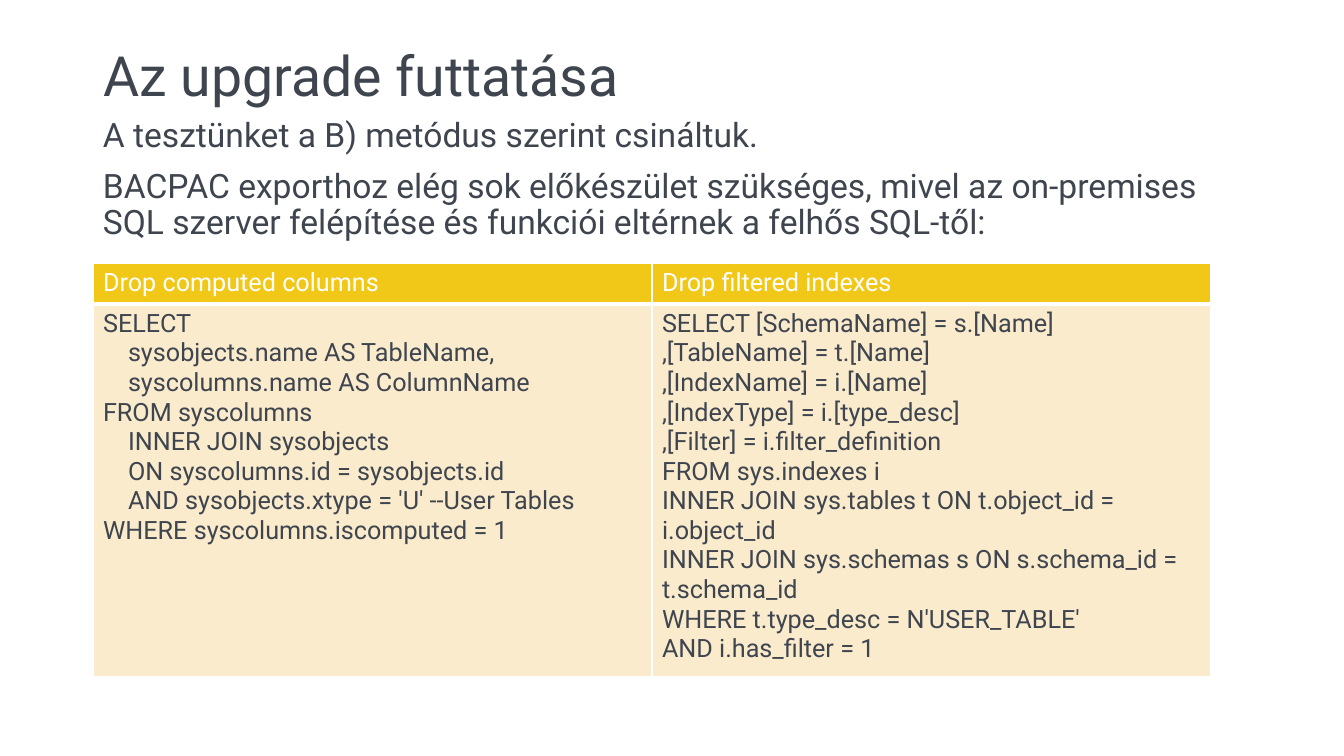
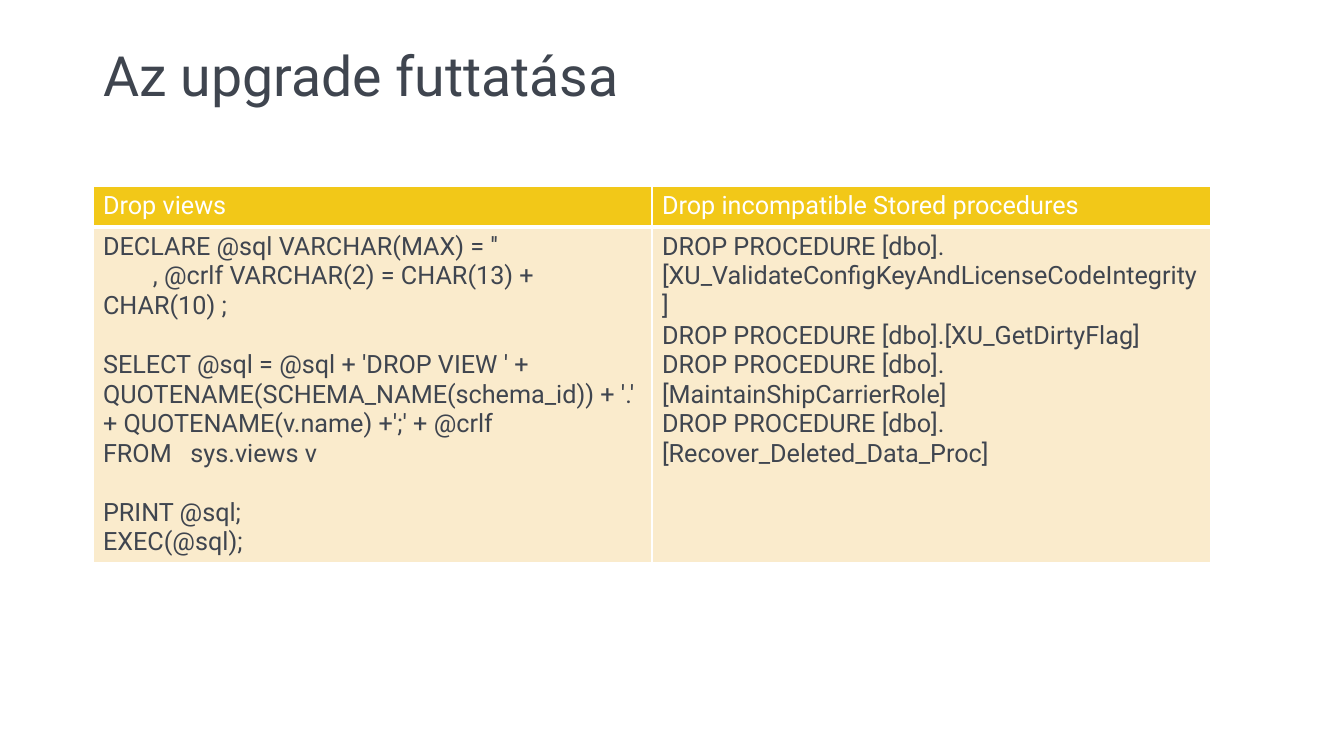
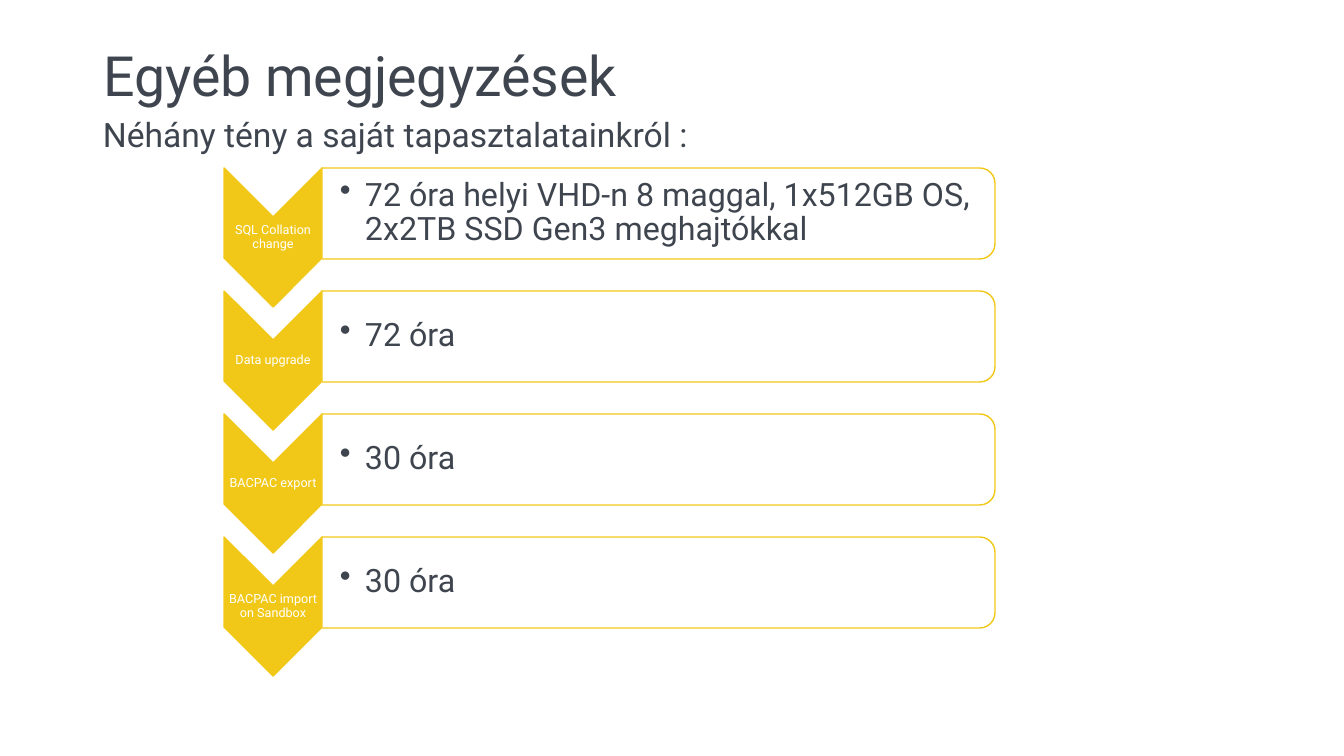
import pptx
import pptx.dml.color
import pptx.enum.shapes
import pptx.enum.text
import pptx.oxml
import pptx.oxml.ns
import pptx.util

PX = 12192000 / 1344  # EMU in one px
COLOURS = {"ink": "3F454F", "gold": "F2C818", "cream": "FAEBCC", "white": "FFFFFF"}
FONT = "Roboto"
Pt = pptx.util.Pt
ANCHOR = pptx.enum.text.MSO_ANCHOR
ALIGN = pptx.enum.text.PP_ALIGN
SHAPE = pptx.enum.shapes.MSO_SHAPE

# Regions shared by the slides: left, top, width, height
TITLE_BOX = (93, 40, 1159, 74)
INTRO_BOX = (93, 114, 1159, 566)
TABLE_LEFT, TABLE_WIDTH, HEADER_HEIGHT = 93, 1118, 41
CODE_LINE = Pt(21.1)

COMPUTED_COLUMNS = """SELECT
    sysobjects.name AS TableName,
    syscolumns.name AS ColumnName
FROM syscolumns
    INNER JOIN sysobjects
    ON syscolumns.id = sysobjects.id
    AND sysobjects.xtype = 'U' --User Tables
WHERE syscolumns.iscomputed = 1"""

FILTERED_INDEXES = """SELECT [SchemaName] = s.[Name]
,[TableName] = t.[Name]
,[IndexName] = i.[Name]
,[IndexType] = i.[type_desc]
,[Filter] = i.filter_definition
FROM sys.indexes i
INNER JOIN sys.tables t ON t.object_id = i.object_id
INNER JOIN sys.schemas s ON s.schema_id = t.schema_id
WHERE t.type_desc = N'USER_TABLE'
AND i.has_filter = 1"""

VIEWS = """DECLARE @sql VARCHAR(MAX) = ''
        , @crlf VARCHAR(2) = CHAR(13) + CHAR(10) ;

SELECT @sql = @sql + 'DROP VIEW ' + QUOTENAME(SCHEMA_NAME(schema_id)) + '.' + QUOTENAME(v.name) +';' + @crlf
FROM   sys.views v

PRINT @sql;
EXEC(@sql);"""

PROCEDURES = """DROP PROCEDURE [dbo].[XU_ValidateConfigKeyAndLicenseCodeIntegrity]
DROP PROCEDURE [dbo].[XU_GetDirtyFlag]
DROP PROCEDURE [dbo].[MaintainShipCarrierRole]
DROP PROCEDURE [dbo].[Recover_Deleted_Data_Proc]"""

STEPS = [
    ("SQL Collation change", "72 óra helyi VHD-n 8 maggal, 1x512GB OS, 2x2TB SSD Gen3 meghajtókkal"),
    ("Data upgrade", "72 óra"),
    ("BACPAC export", "30 óra"),
    ("BACPAC import on Sandbox", "30 óra"),
]


def px(value):
    return pptx.util.Emu(round(value * PX))


def colour(name):
    return pptx.dml.color.RGBColor.from_string(COLOURS[name])


def assign(target, values):
    for name, value in values.items():
        setattr(target, name, value)


def write(para, text, size, ink, **para_format):
    assign(para, para_format)
    span = para.add_run()
    span.text = text
    assign(span.font, {"name": FONT, "size": Pt(size)})
    span.font.color.rgb = colour(ink)


def paragraph(frame, index):
    return frame.paragraphs[0] if index == 0 else frame.add_paragraph()


def add_text_box(page, box, inset=None, **frame_format):
    frame = page.shapes.add_textbox(*map(px, box)).text_frame
    frame.word_wrap = True
    if inset:
        sides = ("margin_left", "margin_top", "margin_right", "margin_bottom")
        assign(frame, dict(zip(sides, map(px, inset))))
    assign(frame, frame_format)
    return frame


def add_page(deck, title):
    page = deck.slides.add_slide(deck.slide_layouts[5])
    holder = page.shapes.title
    assign(holder, dict(zip(("left", "top", "width", "height"), map(px, TITLE_BOX))))
    assign(holder.text_frame, {
        "word_wrap": True,
        "vertical_anchor": ANCHOR.BOTTOM,
        "auto_size": pptx.enum.text.MSO_AUTO_SIZE.NONE,
    })
    write(holder.text_frame.paragraphs[0], title, 39.6, "ink", alignment=ALIGN.LEFT, line_spacing=0.9)
    return page


def add_intro(page, texts):
    frame = add_text_box(page, INTRO_BOX)
    for index, text in enumerate(texts):
        para = paragraph(frame, index)
        write(para, text, 24, "ink", line_spacing=0.9)
        if index:
            para.space_before = Pt(10)


def style_cell(cell, fill, bottom):
    # Borders come before the fill in the cell properties
    properties = cell._tc.get_or_add_tcPr()
    for side, points in (("L", 1), ("R", 1), ("T", 1), ("B", bottom)):
        properties.append(pptx.oxml.parse_xml(
            f'<a:ln{side} {pptx.oxml.ns.nsdecls("a")} w="{Pt(points)}"><a:solidFill>'
            f'<a:srgbClr val="{COLOURS["white"]}"/></a:solidFill></a:ln{side}>'))
    cell.fill.solid()
    cell.fill.fore_color.rgb = colour(fill)


def write_code(frame, code):
    # An empty code line becomes space before the next line
    index, gap = 0, False
    for line in code.split("\n"):
        if line:
            para = paragraph(frame, index)
            write(para, line, 18, "ink")
            if gap:
                para.space_before = CODE_LINE
            index += 1
        gap = not line


def add_code_table(page, top, body_height, columns):
    box = (TABLE_LEFT, top, TABLE_WIDTH, HEADER_HEIGHT + body_height)
    table = page.shapes.add_table(2, len(columns), *map(px, box)).table
    assign(table, {"first_row": False, "horz_banding": False})
    for row, height in zip(table.rows, (HEADER_HEIGHT, body_height)):
        row.height = px(height)
    for index, (heading, code) in enumerate(columns):
        table.columns[index].width = px(TABLE_WIDTH / len(columns))
        header, body = table.cell(0, index), table.cell(1, index)
        style_cell(header, "gold", 3)
        style_cell(body, "cream", 1)
        write(header.text_frame.paragraphs[0], heading, 18, "white")
        write_code(body.text_frame, code)


def add_turned_shape(page, kind, box, fill):
    # The box is the area covered after a quarter turn
    left, top, width, height = box
    shift = (width - height) / 2
    shape = page.shapes.add_shape(kind, px(left + shift), px(top - shift), px(height), px(width))
    shape.rotation = 90
    shape.shadow.inherit = False
    shape.fill.solid()
    shape.fill.fore_color.rgb = colour(fill)
    shape.line.color.rgb = colour("gold")
    shape.line.width = Pt(1)


def add_step(page, left, top, label, detail):
    arrow_width, arrow_height, bar_width, bar_height = 98, 139, 673, 91
    bar_left = left + arrow_width
    # Arrow with its label
    add_turned_shape(page, SHAPE.CHEVRON, (left, top, arrow_width, arrow_height), "gold")
    frame = add_text_box(page, (left, top + 49, arrow_width, 41), (1, 1, 1, 1), vertical_anchor=ANCHOR.MIDDLE)
    write(frame.paragraphs[0], label, 9, "white", alignment=ALIGN.CENTER, line_spacing=0.9)
    # Bar with its bulleted detail
    add_turned_shape(page, SHAPE.ROUND_2_SAME_RECTANGLE, (bar_left, top, bar_width, bar_height), "white")
    frame = add_text_box(page, (bar_left, top + 4, 669, 82), (18, 2, 2, 2), vertical_anchor=ANCHOR.MIDDLE)
    para = frame.paragraphs[0]
    properties = para._p.get_or_add_pPr()
    properties.set("marL", str(px(25)))
    properties.set("indent", str(px(-25)))
    properties.append(pptx.oxml.parse_xml(f'<a:buChar {pptx.oxml.ns.nsdecls("a")} char="•"/>'))
    write(para, detail, 23, "ink", line_spacing=0.9)


def main():
    deck = pptx.Presentation()
    assign(deck, {"slide_width": px(1344), "slide_height": px(756)})

    # Computed columns and filtered indexes
    page = add_page(deck, "Az upgrade futtatása")
    add_intro(page, [
        "A tesztünket a B) metódus szerint csináltuk.",
        "BACPAC exporthoz elég sok előkészület szükséges, mivel az on-premises "
        "SQL szerver felépítése és funkciói eltérnek a felhős SQL-től:",
    ])
    add_code_table(page, 263, 364, [
        ("Drop computed columns", COMPUTED_COLUMNS),
        ("Drop filtered indexes", FILTERED_INDEXES),
    ])

    # Views and stored procedures
    page = add_page(deck, "Az upgrade futtatása")
    add_code_table(page, 186, 334, [
        ("Drop views", VIEWS),
        ("Drop incompatible Stored procedures", PROCEDURES),
    ])

    # Time taken by each step
    page = add_page(deck, "Egyéb megjegyzések")
    add_intro(page, ["Néhány tény a saját tapasztalatainkról :"])
    for index, (label, detail) in enumerate(STEPS):
        add_step(page, 224, 168 + 123 * index, label, detail)

    deck.save("out.pptx")


if __name__ == "__main__":
    main()
